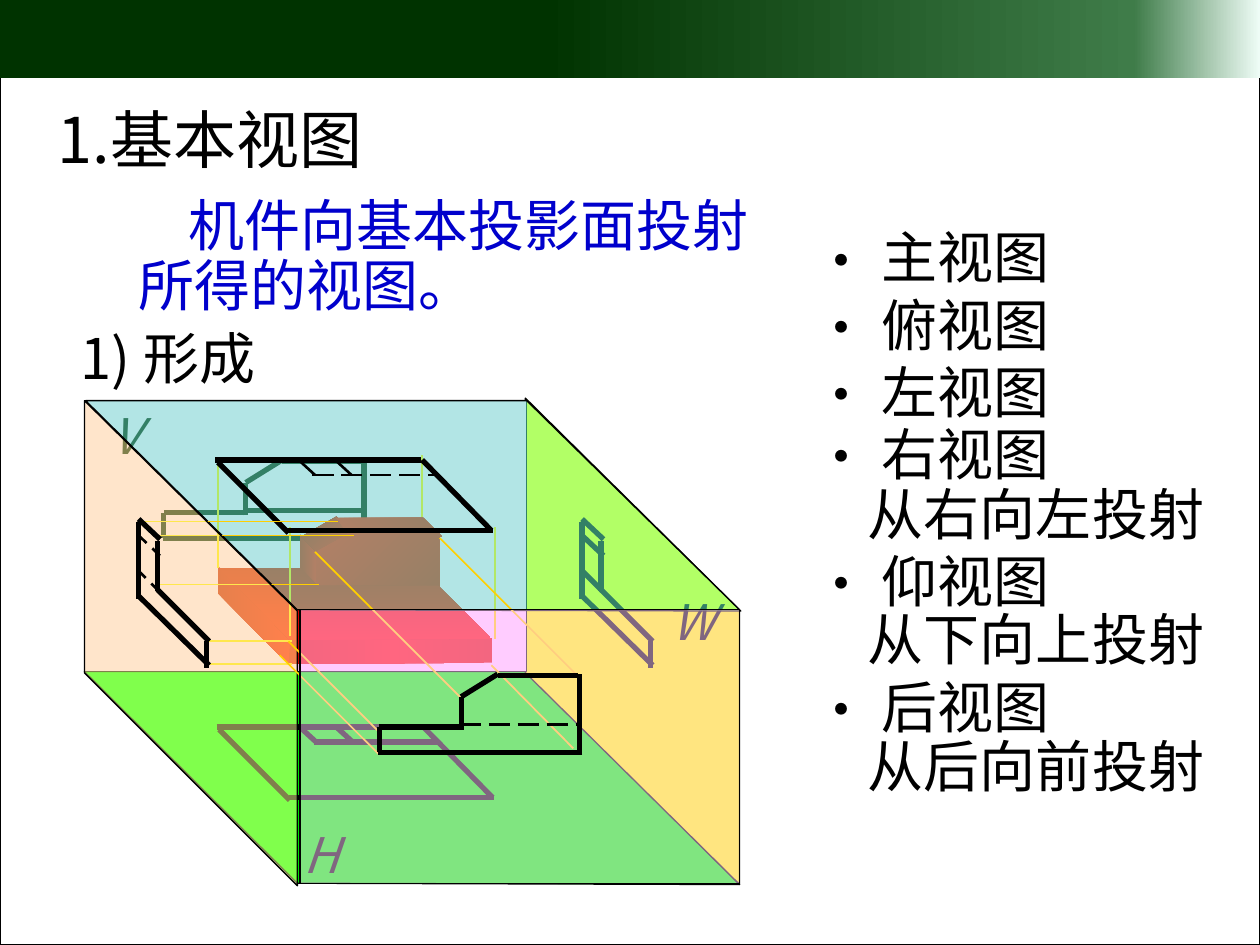
from dataclasses import dataclass
from typing import NamedTuple

from lxml import etree
from pptx import Presentation
from pptx import util as u
from pptx.dml.color import RGBColor
from pptx.enum import dml, shapes, text
from pptx.oxml import ns

PX = 9144


@dataclass(frozen=True)
class Theme:
    font: str = "Noto Sans CJK SC"
    ink: str = "000000"
    definition: str = "0000CC"
    ray: str = "FFCF01"
    floor: str = "00FF00"
    right_wall: str = "FFFF00"
    pink: str = "FFCCFF"
    top_wall: str = "66FFCC"
    left_wall: str = "FFFF99"
    title: int = 36
    body: int = 32
    plane: int = 28


THEME = Theme()


class Stroke(NamedTuple):
    color: str
    width: float
    dash: dml.MSO_LINE | None = None


class Segment(NamedTuple):
    x1: int
    y1: int
    x2: int
    y2: int


class View(NamedTuple):
    visible: list[Segment]
    hidden: list[Segment]


class Gradient(NamedTuple):
    stops: tuple[tuple[int, str], ...]
    angle: int = 0


class Face(NamedTuple):
    points: list[tuple[int, int]]
    gradient: Gradient


class Label(NamedTuple):
    words: str
    x: int
    y: int
    w: int
    h: int
    size: int = THEME.body
    color: str = THEME.ink
    anchor: text.MSO_ANCHOR = text.MSO_ANCHOR.MIDDLE
    italic: bool = False
    bullet: bool = False
    indent: int = 0
    spacing: float | None = None
    wrap: bool = True


EDGE = Stroke(THEME.ink, 0.75)
OUTLINE = Stroke(THEME.ink, 3)
LONG_DASH = Stroke(THEME.ink, 1.5, dml.MSO_LINE.LONG_DASH)
DASH = Stroke(THEME.ink, 1.5, dml.MSO_LINE.DASH)
RAY = Stroke(THEME.ray, 1)

HEADER = Gradient(((43, "003300"), (90, "3F7C49"), (100, "EEFCF6")))

TOP = text.MSO_ANCHOR.TOP
LABELS = [
    Label("1.基本视图", 36, 75, 300, 70, size=THEME.title, anchor=TOP),
    Label("机件向基本投影面投射所得的视图。", 100, 152, 512, 106,
          color=THEME.definition, anchor=TOP, indent=40, spacing=0.9),
    Label("1) 形成", 54, 252, 194, 63),
    Label("主视图\n俯视图\n左视图", 636, 172, 236, 170, bullet=True),
    Label("右视图", 636, 328, 281, 63, anchor=TOP, bullet=True),
    Label("仰视图", 636, 429, 219, 63, bullet=True),
    Label("后视图", 636, 529, 219, 63, bullet=True),
    Label("从右向左投射", 679, 376, 321, 63),
    Label("从下向上投射", 679, 475, 321, 63),
    Label("从后向前投射", 679, 576, 321, 63),
]
PLANE_LABELS = [
    Label("V", 79, 317, 40, 57, size=THEME.plane, italic=True, wrap=False),
    Label("W", 523, 464, 57, 57, size=THEME.plane, italic=True),
    Label("H", 231, 649, 42, 57, size=THEME.plane, italic=True),
]

PLAN = View(
    [Segment(171, 365, 334, 365), Segment(228, 421, 391, 421),
     Segment(335, 365, 390, 421), Segment(173, 367, 229, 423)],
    [Segment(248, 377, 346, 377), Segment(267, 366, 279, 377),
     Segment(238, 366, 250, 377)])
PROFILE = View(
    [Segment(110, 414, 110, 475), Segment(125, 429, 125, 469),
     Segment(110, 412, 127, 428), Segment(125, 468, 166, 509),
     Segment(164, 530, 164, 509), Segment(110, 473, 166, 528)],
    [Segment(126, 469, 110, 453), Segment(127, 441, 110, 425)])
ELEVATION = View(
    [Segment(366, 579, 366, 553), Segment(366, 553, 395, 535),
     Segment(462, 597, 300, 597), Segment(460, 597, 460, 535),
     Segment(459, 536, 395, 536), Segment(301, 577, 301, 597),
     Segment(301, 577, 366, 577)],
    [Segment(365, 575, 460, 575)])

SOLID = [
    Face([(229, 507), (391, 506), (391, 526), (229, 527)],
         Gradient(((0, "E70000"), (50, "FF0000"), (100, "E70000")))),
    Face([(173, 449), (173, 471), (229, 527), (230, 507)],
         Gradient(((0, "CD0000"), (100, "FF0000")))),
    Face([(238, 424), (238, 452), (251, 465), (251, 438)],
         Gradient(((0, "C70000"), (100, "FF0000")))),
    Face([(239, 426), (267, 410), (279, 424), (251, 438)],
         Gradient(((0, "B60000"), (100, "FF0000")), 45)),
    Face([(267, 411), (336, 411), (351, 426), (278, 426)],
         Gradient(((0, "FF0000"), (100, "C70000")), 315)),
    Face([(251, 438), (251, 465), (349, 466), (349, 423), (278, 423)],
         Gradient(((0, "FF0000"), (100, "CA0000")), 45)),
    Face([(239, 451), (252, 465), (348, 465), (390, 507), (230, 508), (174, 451)],
         Gradient(((0, "D00000"), (100, "FF0000")), 90)),
]

RAYS_UP = [Segment(173, 451, 173, 364), Segment(230, 505, 230, 418),
           Segment(393, 507, 393, 418), Segment(335, 410, 335, 361)]
RAYS_LEFT = [Segment(232, 527, 164, 527), Segment(232, 509, 166, 509),
             Segment(268, 414, 110, 414), Segment(281, 425, 123, 425),
             Segment(253, 464, 123, 464)]
RAYS_FRONT = [Segment(390, 528, 455, 594), Segment(222, 520, 301, 599),
              Segment(229, 509, 301, 581), Segment(349, 427, 459, 537),
              Segment(250, 438, 367, 555)]


def apply_stroke(line, stroke: Stroke) -> None:
    line.color.rgb = RGBColor.from_string(stroke.color)
    line.width = u.Pt(stroke.width)
    if stroke.dash is not None:
        line.dash_style = stroke.dash


def fill_solid(shape, color: str, alpha: int = 100) -> None:
    shape.fill.solid()
    shape.fill.fore_color.rgb = RGBColor.from_string(color)
    if alpha < 100:
        swatch = shape.fill._xPr.find(".//" + ns.qn("a:srgbClr"))
        etree.SubElement(swatch, ns.qn("a:alpha"), val=str(alpha * 1000))


def fill_gradient(shape, gradient: Gradient) -> None:
    shape.fill.gradient()
    blend = shape.fill._xPr.find(ns.qn("a:gradFill"))
    stops = blend.find(ns.qn("a:gsLst"))
    for old in list(stops):
        stops.remove(old)
    for position, color in gradient.stops:
        stop = etree.SubElement(stops, ns.qn("a:gs"), pos=str(position * 1000))
        etree.SubElement(stop, ns.qn("a:srgbClr"), val=color)
    blend.find(ns.qn("a:lin")).set("ang", str(gradient.angle * 60000))


def add_rect(slide, x: int, y: int, w: int, h: int):
    rect = slide.shapes.add_shape(
        shapes.MSO_SHAPE.RECTANGLE, x * PX, y * PX, w * PX, h * PX)
    rect.shadow.inherit = False
    return rect


def add_polygon(slide, points: list[tuple[int, int]]):
    builder = slide.shapes.build_freeform(*points[0], scale=PX)
    polygon = builder.add_line_segments(points[1:], close=True).convert_to_shape()
    polygon.shadow.inherit = False
    return polygon


def add_wall(slide, points: list[tuple[int, int]], color: str, alpha: int = 100) -> None:
    wall = add_polygon(slide, points)
    fill_solid(wall, color, alpha)
    apply_stroke(wall.line, EDGE)


def add_pane(slide, x: int, y: int, w: int, h: int, alpha: int = 100) -> None:
    pane = add_rect(slide, x, y, w, h)
    fill_solid(pane, THEME.pink, alpha)
    apply_stroke(pane.line, EDGE)


def add_segments(slide, segments: list[Segment], stroke: Stroke,
                 dx: int = 0, dy: int = 0) -> None:
    for x1, y1, x2, y2 in segments:
        segment = slide.shapes.add_connector(
            shapes.MSO_CONNECTOR.STRAIGHT,
            (x1 + dx) * PX, (y1 + dy) * PX, (x2 + dx) * PX, (y2 + dy) * PX)
        apply_stroke(segment.line, stroke)
        etree.SubElement(segment._element.spPr, ns.qn("a:effectLst"))


def add_view(slide, view: View, hidden: Stroke = OUTLINE, dx: int = 0, dy: int = 0) -> None:
    add_segments(slide, view.visible, OUTLINE, dx, dy)
    add_segments(slide, view.hidden, hidden, dx, dy)


def add_label(slide, label: Label) -> None:
    box = slide.shapes.add_textbox(label.x * PX, label.y * PX, label.w * PX, label.h * PX)
    frame = box.text_frame
    frame.text = label.words
    frame.word_wrap = label.wrap
    frame.auto_size = text.MSO_AUTO_SIZE.SHAPE_TO_FIT_TEXT
    frame.vertical_anchor = label.anchor
    for paragraph in frame.paragraphs:
        properties = paragraph._p.get_or_add_pPr()
        if label.bullet:
            properties.set("marL", str(54 * PX))
            properties.set("indent", str(-54 * PX))
            etree.SubElement(properties, ns.qn("a:buFont"), typeface=THEME.font)
            etree.SubElement(properties, ns.qn("a:buChar"), char="•")
        elif label.indent:
            properties.set("indent", str(label.indent * PX))
        if label.spacing:
            paragraph.line_spacing = label.spacing
        for run in paragraph.runs:
            run.font.name = THEME.font
            run.font.size = u.Pt(label.size)
            run.font.italic = label.italic
            run.font.color.rgb = RGBColor.from_string(label.color)
            etree.SubElement(run._r.rPr, ns.qn("a:ea"), typeface=THEME.font)


def draw_box(slide) -> None:
    add_wall(slide, [(67, 533), (417, 533), (587, 702), (236, 701)], THEME.floor)
    add_wall(slide, [(417, 534), (587, 702), (587, 484), (417, 316)], THEME.right_wall)
    add_pane(slide, 67, 318, 351, 215)
    for label in PLANE_LABELS:
        add_label(slide, label)
    add_view(slide, PLAN, dx=1, dy=212)
    add_view(slide, PROFILE, dx=352)
    add_view(slide, ELEVATION, dx=-171, dy=-170)
    for face in SOLID:
        side = add_polygon(slide, face.points)
        fill_gradient(side, face.gradient)
        side.line.fill.background()
    add_segments(slide, RAYS_UP, RAY)
    add_wall(slide, [(68, 318), (418, 318), (588, 485), (236, 484)], THEME.top_wall, 50)
    add_view(slide, PLAN, LONG_DASH)
    add_segments(slide, RAYS_LEFT, RAY)
    add_wall(slide, [(67, 534), (236, 703), (236, 485), (67, 318)], THEME.left_wall, 50)
    add_view(slide, PROFILE, DASH)
    add_segments(slide, RAYS_FRONT, RAY)
    add_pane(slide, 238, 484, 349, 217, 50)
    add_view(slide, ELEVATION, LONG_DASH)


def main() -> None:
    deck = Presentation()
    deck.slide_width, deck.slide_height = 1000 * PX, 750 * PX
    slide = deck.slides.add_slide(deck.slide_layouts[6])
    border = add_rect(slide, 0, 0, 1000, 750)
    border.fill.background()
    apply_stroke(border.line, EDGE)
    header = add_rect(slide, 0, 0, 1000, 62)
    fill_gradient(header, HEADER)
    header.line.fill.background()
    for label in LABELS:
        add_label(slide, label)
    draw_box(slide)
    deck.save("out.pptx")


if __name__ == "__main__":
    main()
